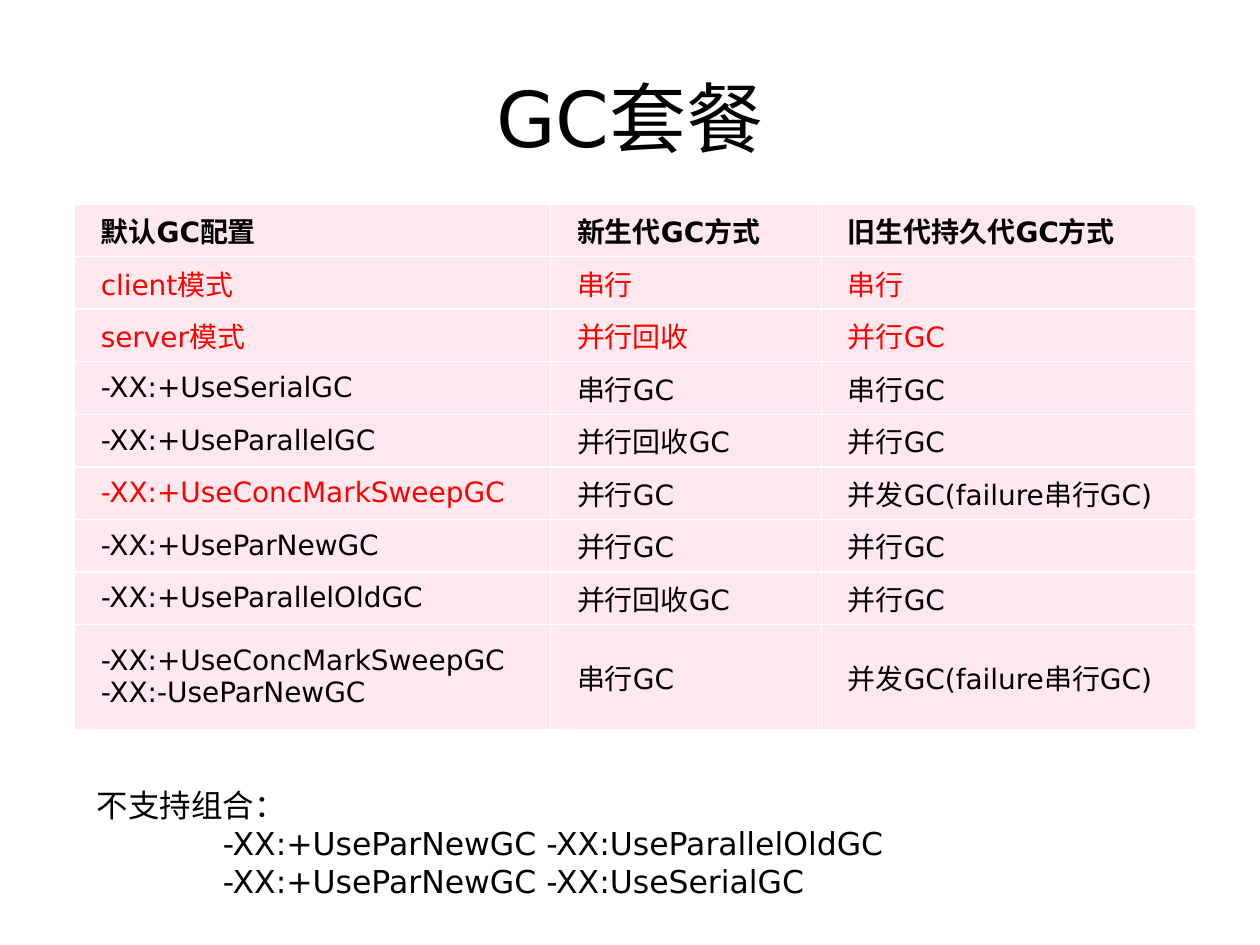
"""Build a slide that lists garbage collector combinations."""
from dataclasses import dataclass

from lxml import etree
from pptx import Presentation
from pptx.dml.color import RGBColor
from pptx.enum import text
from pptx.oxml import ns
from pptx.util import Inches, Pt


@dataclass(frozen=True)
class Theme:
    font: str = "DejaVu Sans"
    ink: str = "000000"
    red: str = "FF0000"
    pink: str = "FFE8EE"
    rule: str = "FFFFFF"
    head: int = 44
    cell: int = 16
    note: int = 18


theme = Theme()


def write(frame, lines, size, color=theme.ink, bold=False, align=None, first=0):
    for num, line in enumerate(lines):
        para = frame.paragraphs[0] if num == 0 else frame.add_paragraph()
        para.alignment = align
        if first:
            para._p.get_or_add_pPr().set("indent", str(Inches(first)))
        run = para.add_run()
        run.text = line
        run.font.name = theme.font
        run.font.size = Pt(size)
        run.font.bold = bold
        run.font.color.rgb = RGBColor.from_string(color)


def edge(cell):
    props = cell._tc.get_or_add_tcPr()
    for side in ("lnL", "lnR", "lnT", "lnB"):
        line = etree.SubElement(props, ns.qn(f"a:{side}"), w=str(Pt(1)))
        fill = etree.SubElement(line, ns.qn("a:solidFill"))
        etree.SubElement(fill, ns.qn("a:srgbClr"), val=theme.rule)


deck = Presentation()
deck.slide_width, deck.slide_height = Inches(10), Inches(7.5)
slide = deck.slides.add_slide(deck.slide_layouts[5])

title = slide.shapes.title
title.left, title.top = Inches(0.5), Inches(0.3)
title.width, title.height = Inches(9), Inches(1.25)
title.text_frame.vertical_anchor = text.MSO_ANCHOR.MIDDLE
write(title.text_frame, ["GC套餐"], theme.head, align=text.PP_ALIGN.CENTER)

rows = [
    ("默认GC配置", "新生代GC方式", "旧生代持久代GC方式"),
    ("client模式", "串行", "串行"),
    ("server模式", "并行回收", "并行GC"),
    ("-XX:+UseSerialGC", "串行GC", "串行GC"),
    ("-XX:+UseParallelGC", "并行回收GC", "并行GC"),
    ("-XX:+UseConcMarkSweepGC", "并行GC", "并发GC(failure串行GC)"),
    ("-XX:+UseParNewGC", "并行GC", "并行GC"),
    ("-XX:+UseParallelOldGC", "并行回收GC", "并行GC"),
    ("-XX:+UseConcMarkSweepGC\n-XX:-UseParNewGC", "串行GC", "并发GC(failure串行GC)"),
]
wides = (3.78, 2.15, 2.97)
reds = {(1, 0), (1, 1), (1, 2), (2, 0), (2, 1), (2, 2), (5, 0)}

table = slide.shapes.add_table(
    len(rows), len(wides), Inches(0.59), Inches(1.62), Inches(8.9), Inches(4.17)
).table
for col, wide in zip(table.columns, wides):
    col.width = Inches(wide)
for r, row in enumerate(rows):
    table.rows[r].height = Inches(0.417 * max(len(item.split("\n")) for item in row))
    for c, item in enumerate(row):
        cell = table.cell(r, c)
        edge(cell)
        cell.fill.solid()
        cell.fill.fore_color.rgb = RGBColor.from_string(theme.pink)
        cell.vertical_anchor = text.MSO_ANCHOR.MIDDLE
        cell.margin_left = cell.margin_right = Inches(0.07)
        cell.margin_top = cell.margin_bottom = 0
        color = theme.red if (r, c) in reds else theme.ink
        write(cell.text_frame, item.split("\n"), theme.cell, color=color,
              bold=r == 0, align=text.PP_ALIGN.JUSTIFY, first=0.14)

note = slide.shapes.add_textbox(Inches(0.67), Inches(6.19), Inches(7.48), Inches(1.01))
frame = note.text_frame
frame.word_wrap = True
frame.auto_size = text.MSO_AUTO_SIZE.SHAPE_TO_FIT_TEXT
pairs = ["-XX:+UseParNewGC -XX:UseParallelOldGC", "-XX:+UseParNewGC -XX:UseSerialGC"]
write(frame, ["不支持组合：", *pairs], theme.note)
for para in frame.paragraphs[1:]:
    para._p.get_or_add_pPr().set("marL", str(Inches(1)))

deck.save("out.pptx")
